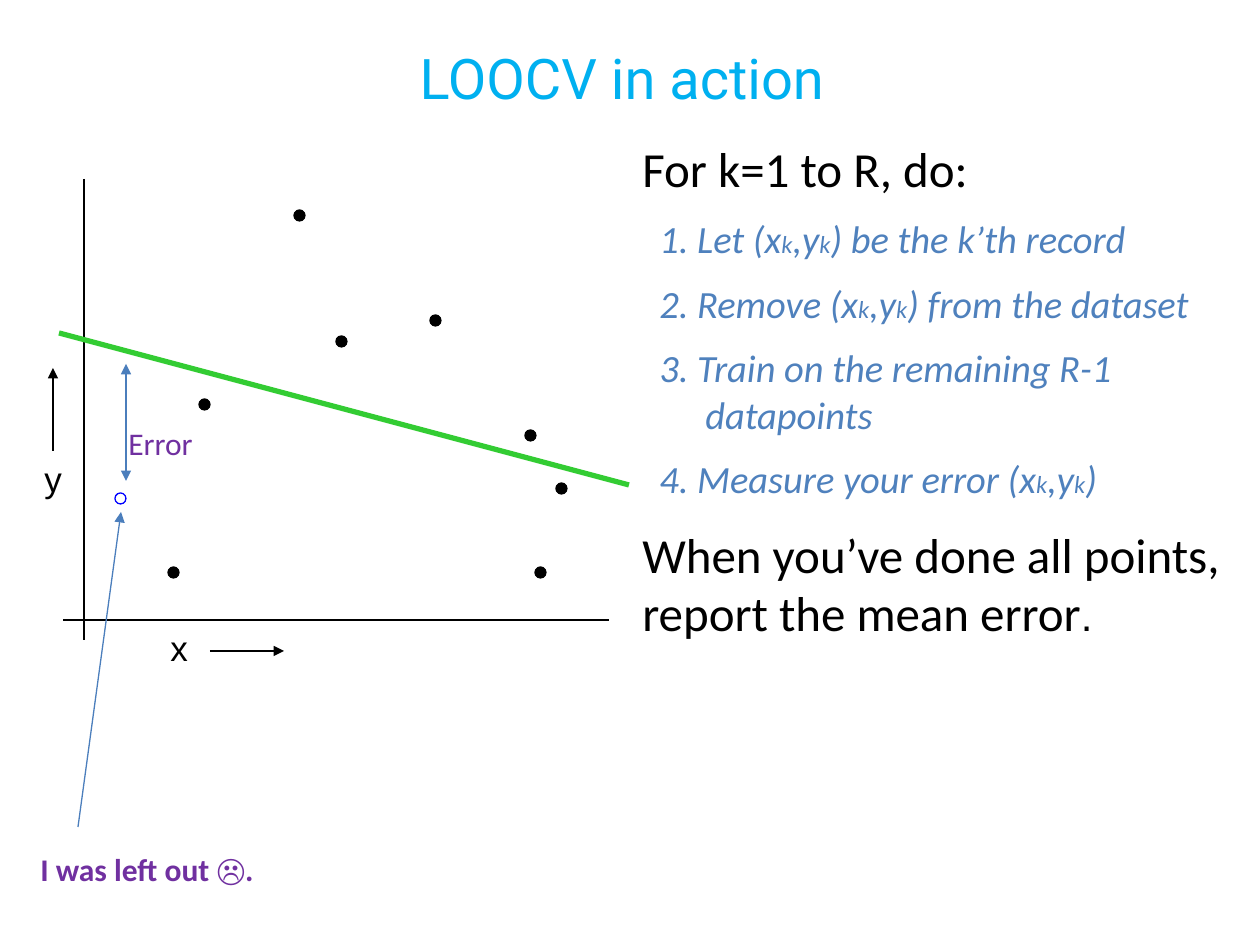
from dataclasses import dataclass
from typing import Optional

from lxml.etree import SubElement
from pptx import Presentation
from pptx.dml.color import RGBColor
from pptx.enum.shapes import MSO_CONNECTOR, MSO_SHAPE
from pptx.enum.text import MSO_ANCHOR, MSO_AUTO_SIZE, PP_ALIGN
from pptx.oxml.ns import qn
from pptx.util import Emu, Pt

EMU_PER_PX = 914400 / 126


@dataclass(frozen=True)
class Theme:
    black: str = "000000"
    white: str = "FFFFFF"
    title: str = "00B0F0"
    step: str = "4F81BD"
    pointer: str = "4B7EBC"
    fit: str = "33CC33"
    held_out: str = "0000FF"
    note: str = "7030A0"
    heading_font: str = "Roboto"
    body_font: str = "Calibri"
    label_font: str = "Arial"
    title_size: int = 32
    body_size: int = 28
    stop_size: int = 24
    step_size: int = 22
    axis_size: int = 20
    note_size: int = 18
    subscript_size: int = 14
    thin: float = 0.75
    axis_width: float = 1.5
    fit_width: float = 3


THEME = Theme()


@dataclass(frozen=True)
class Style:
    font: str
    size: int
    color: str
    bold: bool = False
    italic: bool = False


@dataclass(frozen=True)
class Span:
    text: str
    style: Style


@dataclass(frozen=True)
class Para:
    spans: list[Span]
    space_before: float = 0
    hanging: bool = False


@dataclass(frozen=True)
class Label:
    left: int
    top: int
    width: int
    height: int
    paras: list[Para]
    wrap: bool = True
    centered: bool = False


@dataclass(frozen=True)
class Line:
    start: tuple[int, int]
    end: tuple[int, int]
    color: str
    width: float
    arrows: tuple[str, ...] = ()


@dataclass(frozen=True)
class Dot:
    left: int
    top: int
    fill: str = THEME.black
    line: str = THEME.black


TITLE = Style(THEME.heading_font, THEME.title_size, THEME.title)
BODY = Style(THEME.body_font, THEME.body_size, THEME.black)
STOP = Style(THEME.label_font, THEME.stop_size, THEME.black)
STEP = Style(THEME.body_font, THEME.step_size, THEME.step, italic=True)
SUBSCRIPT = Style(THEME.body_font, THEME.subscript_size, THEME.step, italic=True)
AXIS = Style(THEME.label_font, THEME.axis_size, THEME.black)
NOTE = Style(THEME.body_font, THEME.note_size, THEME.note)
BOLD_NOTE = Style(THEME.body_font, THEME.note_size, THEME.note, bold=True)

DOT_SIZE = 11
HANGING_FORMAT = {"marL": 63, "indent": -46}


def px(value: int) -> Emu:
    return Emu(round(value * EMU_PER_PX))


def rgb(color: str) -> RGBColor:
    return RGBColor.from_string(color)


def plain(text: str, style: Style) -> list[Para]:
    return [Para([Span(text, style)])]


def step(text: str) -> Para:
    """Make a numbered step; the parts between bars are subscripts."""
    spans = [Span(part, SUBSCRIPT if index % 2 else STEP)
             for index, part in enumerate(text.split("|"))]
    return Para(spans, space_before=10.5, hanging=True)


STEPS = [
    "1. Let (x|k|,y|k|) be the k’th record",
    "2. Remove (x|k|,y|k|) from the dataset",
    "3. Train on the remaining R-1 datapoints",
    "4. Measure your error (x|k|,y|k|)",
]
PROCEDURE = [
    *plain("For k=1 to R, do:", BODY),
    *map(step, STEPS),
    Para([Span("When you’ve done all points, report the mean error", BODY),
          Span(".", STOP)], space_before=13),
]
TITLE_LABEL = Label(34, 25, 1176, 105, plain("LOOCV in action", TITLE), centered=True)
LABELS = [
    Label(630, 132, 606, 547, PROCEDURE),
    Label(158, 620, 42, 54, plain("x", AXIS)),
    Label(32, 451, 42, 54, plain("y", AXIS)),
    Label(116, 418, 91, 51, plain("Error", NOTE), wrap=False),
    Label(28, 844, 254, 51, plain("I was left out ☹.", BOLD_NOTE), wrap=False),
]
LINES = [
    Line((84, 179), (84, 640), THEME.black, THEME.axis_width),
    Line((63, 620), (609, 620), THEME.black, THEME.axis_width),
    Line((210, 651), (284, 651), THEME.black, THEME.thin, ("tailEnd",)),
    Line((53, 451), (53, 368), THEME.black, THEME.thin, ("tailEnd",)),
    Line((59, 333), (629, 485), THEME.fit, THEME.fit_width),
    Line((126, 364), (126, 481), THEME.pointer, THEME.thin, ("headEnd", "tailEnd")),
    Line((78, 827), (121, 512), THEME.pointer, THEME.thin, ("tailEnd",)),
]
RECORDS = [(168, 567), (199, 399), (294, 210), (336, 336),
           (430, 315), (535, 567), (556, 483), (525, 430)]
DOTS = [Dot(115, 493, THEME.white, THEME.held_out),
        *(Dot(left, top) for left, top in RECORDS)]


def add_label(page, label: Label) -> None:
    box = page.shapes.add_textbox(*map(px, (label.left, label.top, label.width, label.height)))
    frame = box.text_frame
    frame_format = {
        "word_wrap": label.wrap,
        "auto_size": MSO_AUTO_SIZE.NONE if label.centered else MSO_AUTO_SIZE.SHAPE_TO_FIT_TEXT,
        "vertical_anchor": MSO_ANCHOR.MIDDLE if label.centered else MSO_ANCHOR.TOP,
    }
    for name, value in frame_format.items():
        setattr(frame, name, value)
    for index, para in enumerate(label.paras):
        paragraph = frame.add_paragraph() if index else frame.paragraphs[0]
        paragraph.alignment = PP_ALIGN.CENTER if label.centered else PP_ALIGN.LEFT
        paragraph.space_before = Pt(para.space_before)
        if para.hanging:
            paragraph.level = 1
            for name, value in HANGING_FORMAT.items():
                paragraph._p.get_or_add_pPr().set(name, str(px(value)))
        for span in para.spans:
            add_span(paragraph, span)


def add_span(paragraph, span: Span) -> None:
    run = paragraph.add_run()
    run.text = span.text
    style = span.style
    font_format = {"name": style.font, "size": Pt(style.size),
                   "bold": style.bold, "italic": style.italic}
    for name, value in font_format.items():
        setattr(run.font, name, value)
    run.font.color.rgb = rgb(style.color)


def add_line(page, line: Line) -> None:
    connector = page.shapes.add_connector(
        MSO_CONNECTOR.STRAIGHT, *map(px, (*line.start, *line.end)))
    connector.line.color.rgb = rgb(line.color)
    connector.line.width = Pt(line.width)
    outline = connector.line._get_or_add_ln()
    for arrow in line.arrows:
        SubElement(outline, qn(f"a:{arrow}"), type="triangle")
    SubElement(connector._element.spPr, qn("a:effectLst"))


def add_dot(page, dot: Dot) -> None:
    shape = page.shapes.add_shape(
        MSO_SHAPE.OVAL, *map(px, (dot.left, dot.top, DOT_SIZE, DOT_SIZE)))
    shape.shadow.inherit = False
    shape.fill.solid()
    shape.fill.fore_color.rgb = rgb(dot.fill)
    shape.line.color.rgb = rgb(dot.line)
    shape.line.width = Pt(THEME.thin)


def main(title: Optional[Label] = TITLE_LABEL) -> None:
    deck = Presentation()
    deck.slide_width, deck.slide_height = px(1260), px(945)
    page = deck.slides.add_slide(deck.slide_layouts[6])
    for label in [title, *LABELS]:
        add_label(page, label)
    for dot in DOTS:
        add_dot(page, dot)
    for line in LINES:
        add_line(page, line)
    deck.save("out.pptx")


if __name__ == "__main__":
    main()
